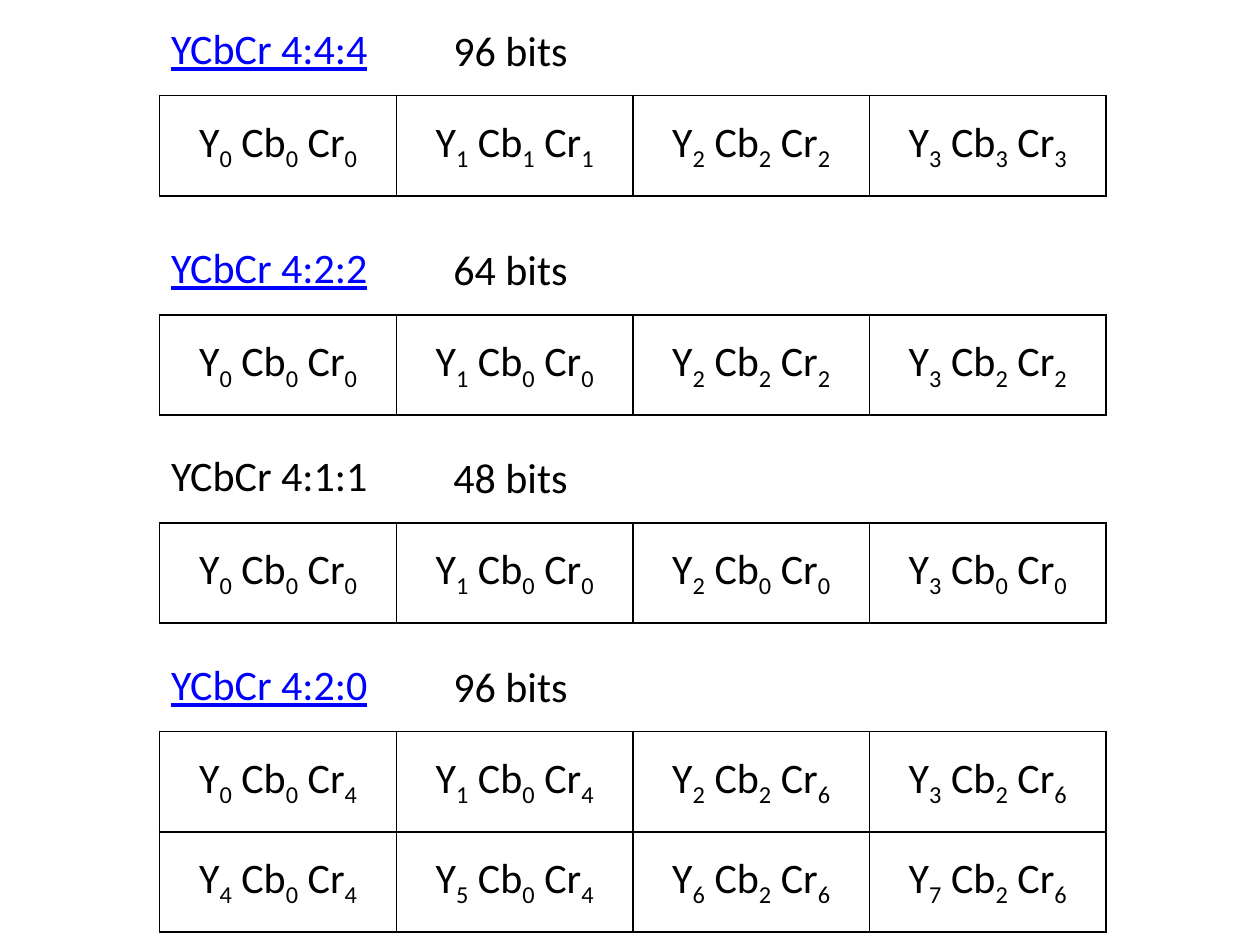
from dataclasses import dataclass

from lxml import etree
from pptx import Presentation
from pptx.dml.color import RGBColor
from pptx.enum.text import MSO_ANCHOR, MSO_AUTO_SIZE, PP_ALIGN
from pptx.oxml.ns import qn
from pptx.util import Cm, Pt

CENTER = PP_ALIGN.CENTER
MIDDLE = MSO_ANCHOR.MIDDLE
FIT_SHAPE = MSO_AUTO_SIZE.SHAPE_TO_FIT_TEXT

BLACK = RGBColor(0x00, 0x00, 0x00)
LINK_BLUE = RGBColor(0x00, 0x00, 0xFF)
FONT = "Calibri"
COMPONENTS = ("Y", " Cb", " Cr")

TABLE_LEFT = 3.22
COL_WIDTH = 4.77
ROW_HEIGHT = 2.02
TEXT_HEIGHT = 1.27


@dataclass
class Sampling:
    name: str
    bits: str
    top: float
    rows: list[str]
    linked: bool = True


SAMPLINGS = [
    Sampling("YCbCr 4:4:4", "96 bits", 1.93, ["000 111 222 333"]),
    Sampling("YCbCr 4:2:2", "64 bits", 6.35, ["000 100 222 322"]),
    Sampling("YCbCr 4:1:1", "48 bits", 10.54, ["000 100 200 300"], linked=False),
    Sampling("YCbCr 4:2:0", "96 bits", 14.75, ["004 104 226 326", "404 504 626 726"]),
]


def add_run(p, text: str, *, color=BLACK, underline=False, subscript=False) -> None:
    r = p.add_run()
    r.text = text
    r.font.name = FONT
    r.font.size = Pt(24)
    r.font.bold = False
    r.font.color.rgb = color
    if underline:
        r.font.underline = True
    if subscript:
        r._r.get_or_add_rPr().set("baseline", "-25000")


def add_label(s, text: str, left: float, top: float, width: float, **fmt) -> None:
    sp = s.shapes.add_textbox(Cm(left), Cm(top), Cm(width), Cm(TEXT_HEIGHT))
    tf = sp.text_frame
    tf.word_wrap = False
    tf.auto_size = FIT_SHAPE
    add_run(tf.paragraphs[0], text, **fmt)


def set_borders(cell) -> None:
    tcPr = cell._tc.get_or_add_tcPr()
    for side in ("lnL", "lnR", "lnT", "lnB"):
        ln = etree.SubElement(tcPr, qn(f"a:{side}"), w=str(Pt(1)))
        fill = etree.SubElement(ln, qn("a:solidFill"))
        etree.SubElement(fill, qn("a:srgbClr"), val=str(BLACK))


def fill_cell(cell, indices: str) -> None:
    set_borders(cell)
    cell.fill.background()
    cell.vertical_anchor = MIDDLE
    p = cell.text_frame.paragraphs[0]
    p.alignment = CENTER
    for component, index in zip(COMPONENTS, indices):
        add_run(p, component)
        add_run(p, index, subscript=True)


def add_pixels(s, sampling: Sampling) -> None:
    grid = [row.split() for row in sampling.rows]
    n_rows, n_cols = len(grid), len(grid[0])
    table = s.shapes.add_table(
        n_rows, n_cols, Cm(TABLE_LEFT), Cm(sampling.top),
        Cm(COL_WIDTH * n_cols), Cm(ROW_HEIGHT * n_rows),
    ).table
    table.first_row = False
    table.horz_banding = False
    for i, row in enumerate(grid):
        for j, indices in enumerate(row):
            fill_cell(table.cell(i, j), indices)


def add_sampling(s, sampling: Sampling) -> None:
    color = LINK_BLUE if sampling.linked else BLACK
    add_label(s, sampling.name, 3.2, sampling.top - 1.6, 4.5,
              color=color, underline=sampling.linked)
    add_pixels(s, sampling)
    add_label(s, sampling.bits, 8.89, sampling.top - 1.56, 2.84)


def main() -> None:
    prs = Presentation()
    prs.slide_width = Cm(25.4)
    prs.slide_height = Cm(19.05)
    s = prs.slides.add_slide(prs.slide_layouts[6])
    for sampling in SAMPLINGS:
        add_sampling(s, sampling)
    prs.save("out.pptx")


if __name__ == "__main__":
    main()
